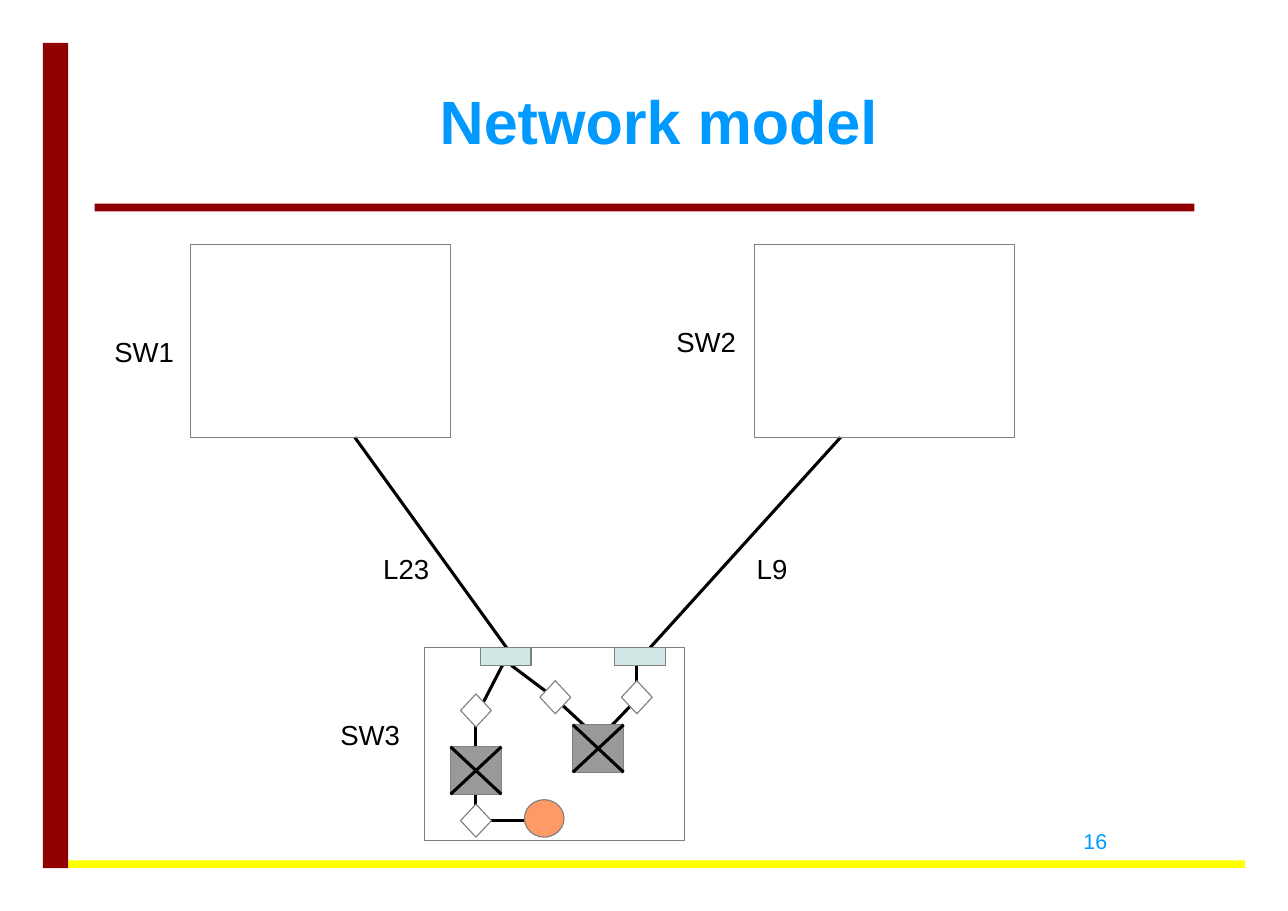
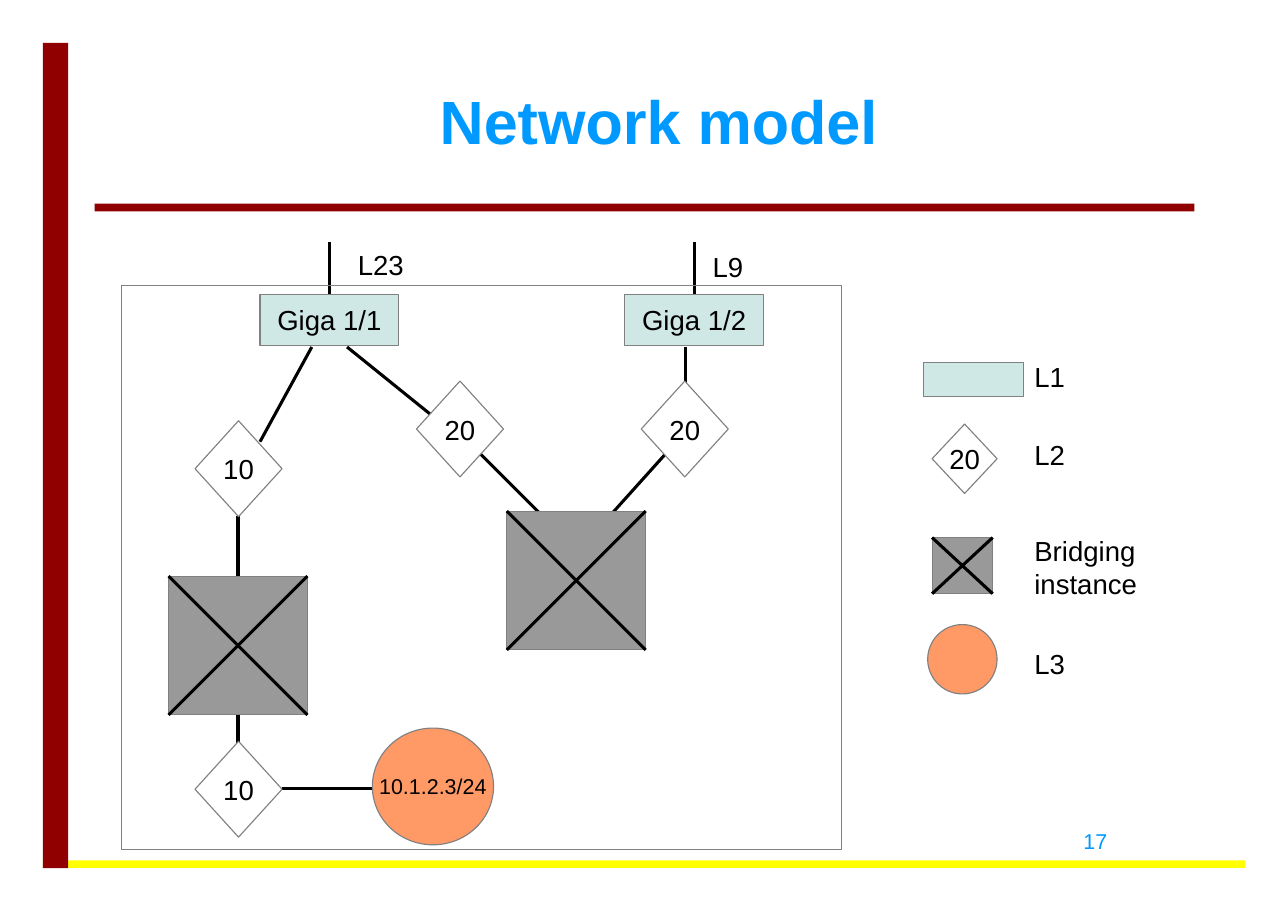
"""Build two slides that show a network model, first the switches, then one switch in detail."""
from dataclasses import dataclass

from lxml import etree
from pptx import Presentation
from pptx.dml.color import RGBColor
from pptx.enum.shapes import MSO_CONNECTOR, MSO_SHAPE
from pptx.enum.text import MSO_ANCHOR, PP_ALIGN
from pptx.oxml.ns import qn
from pptx.util import Inches, Pt

RECT, DIAMOND, OVAL = MSO_SHAPE.RECTANGLE, MSO_SHAPE.DIAMOND, MSO_SHAPE.OVAL
STRAIGHT = MSO_CONNECTOR.STRAIGHT
TOP, MIDDLE = MSO_ANCHOR.TOP, MSO_ANCHOR.MIDDLE
LEFT, CENTER, RIGHT = PP_ALIGN.LEFT, PP_ALIGN.CENTER, PP_ALIGN.RIGHT


@dataclass(frozen=True)
class Theme:
    """Colours, font and type sizes of the deck."""
    font: str = "Arial"
    title_size: float = 39.9
    body_size: float = 18
    small_size: float = 14
    accent: str = "0099FF"
    ink: str = "000000"
    outline: str = "808080"
    maroon: str = "900000"
    yellow: str = "FFFF00"
    port: str = "CFE7E5"
    vlan: str = "FFFFFF"
    bridge: str = "999999"
    router: str = "FF9966"


THEME = Theme()

BODY = {"size": Pt(THEME.body_size), "name": THEME.font, "bold": False}
SMALL = {**BODY, "size": Pt(THEME.small_size)}
TITLE = {**BODY, "size": Pt(THEME.title_size), "bold": True}
NODE = {"geometry": RECT, "fill": None, "line": THEME.outline, "ink": THEME.ink, "font": BODY,
        "align": CENTER, "anchor": MIDDLE, "wrap": False, "inset": (0.1, 0.05)}
BARE = {**NODE, "geometry": None, "line": None, "wrap": True}
BAND = {**NODE, "line": None}
STYLES = {
    "maroon band": {**BAND, "fill": THEME.maroon},
    "yellow band": {**BAND, "fill": THEME.yellow},
    "title": {**BARE, "ink": THEME.accent, "font": TITLE, "inset": (0, 0)},
    "page number": {**BARE, "ink": THEME.accent, "font": SMALL, "inset": (0, 0),
                    "align": RIGHT, "anchor": TOP},
    "label": {**BARE, "align": LEFT, "anchor": TOP},
    "switch": NODE,
    "port": {**NODE, "fill": THEME.port},
    "vlan": {**NODE, "geometry": DIAMOND, "fill": THEME.vlan},
    "bridge": {**NODE, "fill": THEME.bridge},
    "router": {**NODE, "geometry": OVAL, "fill": THEME.router, "font": SMALL},
}

SHARED_PARTS = [
    ("yellow band", (10.91, 0.07), [(0.39, 7.81, "")]),
    ("maroon band", (0.23, 7.49), [(0.39, 0.39, "")]),
    ("maroon band", (9.98, 0.07), [(0.86, 1.85, "")]),
    ("title", (9.94, 1.18), [(1.01, 0.5, "Network model")]),
]

OVERVIEW_LINKS = [
    (3.22, 3.97, 4.62, 5.91), (7.63, 3.97, 5.9, 5.88),
    (4.39, 6.37, 4.56, 6.04), (4.64, 6.04, 4.96, 6.28), (5.78, 5.98, 5.78, 6.22),
    (5.07, 6.37, 5.33, 6.61), (5.76, 6.37, 5.5, 6.64),
    (4.32, 6.59, 4.32, 6.82), (4.32, 7.12, 4.32, 7.35), (4.46, 7.45, 4.84, 7.45),
]
OVERVIEW_PARTS = [
    ("switch", (2.36, 1.75), [(1.73, 2.22, ""), (6.85, 2.22, ""), (3.85, 5.88, "")]),
    ("port", (0.46, 0.16), [(4.36, 5.88, ""), (5.58, 5.88, "")]),
    ("vlan", (0.28, 0.3), [(4.18, 6.3, ""), (4.9, 6.18, ""), (5.64, 6.18, ""), (4.18, 7.3, "")]),
    ("bridge", (0.46, 0.43), [(5.2, 6.58, ""), (4.09, 6.78, "")]),
    ("router", (0.36, 0.34), [(4.76, 7.26, "")]),
    ("label", (0.87, 0.38), [(0.94, 2.99, "SW1"), (6.04, 2.9, "SW2"), (2.99, 6.47, "SW3"),
                             (3.38, 4.96, "L23"), (6.77, 4.96, "L9")]),
]

DETAIL_LINKS = [
    (2.99, 2.2, 2.99, 2.67), (6.3, 2.2, 6.3, 2.67),
    (2.36, 4.01, 2.83, 3.15), (3.15, 3.15, 3.93, 3.78), (6.22, 3.15, 6.22, 3.85),
    (4.25, 4.01, 4.96, 4.72), (6.14, 4.01, 5.43, 4.8),
    (2.16, 4.68, 2.16, 5.35), (2.16, 6.22, 2.16, 6.89), (2.56, 7.16, 3.62, 7.16),
]
DETAIL_PARTS = [
    ("switch", (6.54, 5.12), [(1.1, 2.59, "")]),
    ("port", (1.26, 0.47), [(2.36, 2.67, "Giga 1/1"), (5.67, 2.67, "Giga 1/2")]),
    ("vlan", (0.79, 0.87), [(1.77, 3.82, "10"), (3.78, 3.46, "20"),
                            (5.82, 3.46, "20"), (1.77, 6.73, "10")]),
    ("bridge", (1.26, 1.26), [(4.6, 4.64, ""), (1.53, 5.23, "")]),
    ("router", (1.1, 1.06), [(3.38, 6.61, "10.1.2.3/24")]),
    ("label", (0.87, 0.38), [(3.15, 2.2, "L23"), (6.37, 2.22, "L9"),
                             (9.29, 3.22, "L1"), (9.29, 3.93, "L2"), (9.29, 5.82, "L3")]),
    ("label", (1.26, 0.66), [(9.29, 4.8, "Bridging instance")]),
    ("port", (0.91, 0.31), [(8.38, 3.29, "")]),
    ("vlan", (0.59, 0.63), [(8.46, 3.85, "20")]),
    ("bridge", (0.55, 0.51), [(8.46, 4.88, "")]),
    ("router", (0.63, 0.63), [(8.42, 5.67, "")]),
]


def add_link(slide, *ends):
    """Draw a hairline from one point to another."""
    link = slide.shapes.add_connector(STRAIGHT, *map(Inches, ends))
    link.line.color.rgb = RGBColor.from_string(THEME.ink)
    link.line.width = Pt(0)
    etree.SubElement(link._element.spPr, qn("a:effectLst"))


def add_part(slide, kind, x, y, width, height, text):
    """Draw one part of the given kind, with its text if it has any."""
    style = STYLES[kind]
    box = [Inches(length) for length in (x, y, width, height)]
    if style["geometry"] is None:
        part = slide.shapes.add_textbox(*box)
    else:
        part = slide.shapes.add_shape(style["geometry"], *box)
        part.shadow.inherit = False
        for paint, colour in ((part.fill, style["fill"]), (part.line.fill, style["line"])):
            if colour is None:
                paint.background()
            else:
                paint.solid()
                paint.fore_color.rgb = RGBColor.from_string(colour)
        if style["line"]:
            part.line.width = Pt(0)
    if kind == "bridge":
        add_link(slide, x, y, x + width, y + height)
        add_link(slide, x, y + height, x + width, y)
    if text:
        frame = part.text_frame
        side, edge = map(Inches, style["inset"])
        layout = {"word_wrap": style["wrap"], "vertical_anchor": style["anchor"],
                  "margin_left": side, "margin_right": side,
                  "margin_top": edge, "margin_bottom": edge}
        for attribute, value in layout.items():
            setattr(frame, attribute, value)
        paragraph = frame.paragraphs[0]
        paragraph.alignment = style["align"]
        run = paragraph.add_run()
        run.text = text
        for attribute, value in style["font"].items():
            setattr(run.font, attribute, value)
        run.font.color.rgb = RGBColor.from_string(style["ink"])


deck = Presentation()
deck.slide_width, deck.slide_height = Inches(11.69), Inches(8.27)
blank = deck.slide_layouts[6]

pages = [("16", OVERVIEW_LINKS, OVERVIEW_PARTS), ("17", DETAIL_LINKS, DETAIL_PARTS)]
for number, links, parts in pages:
    slide = deck.slides.add_slide(blank)
    for link_ends in links:
        add_link(slide, *link_ends)
    page_number = ("page number", (2.54, 0.21), [(7.51, 7.52, number)])
    for kind, size, places in [*SHARED_PARTS, *parts, page_number]:
        for x, y, text in places:
            add_part(slide, kind, x, y, *size, text)

deck.save("out.pptx")
